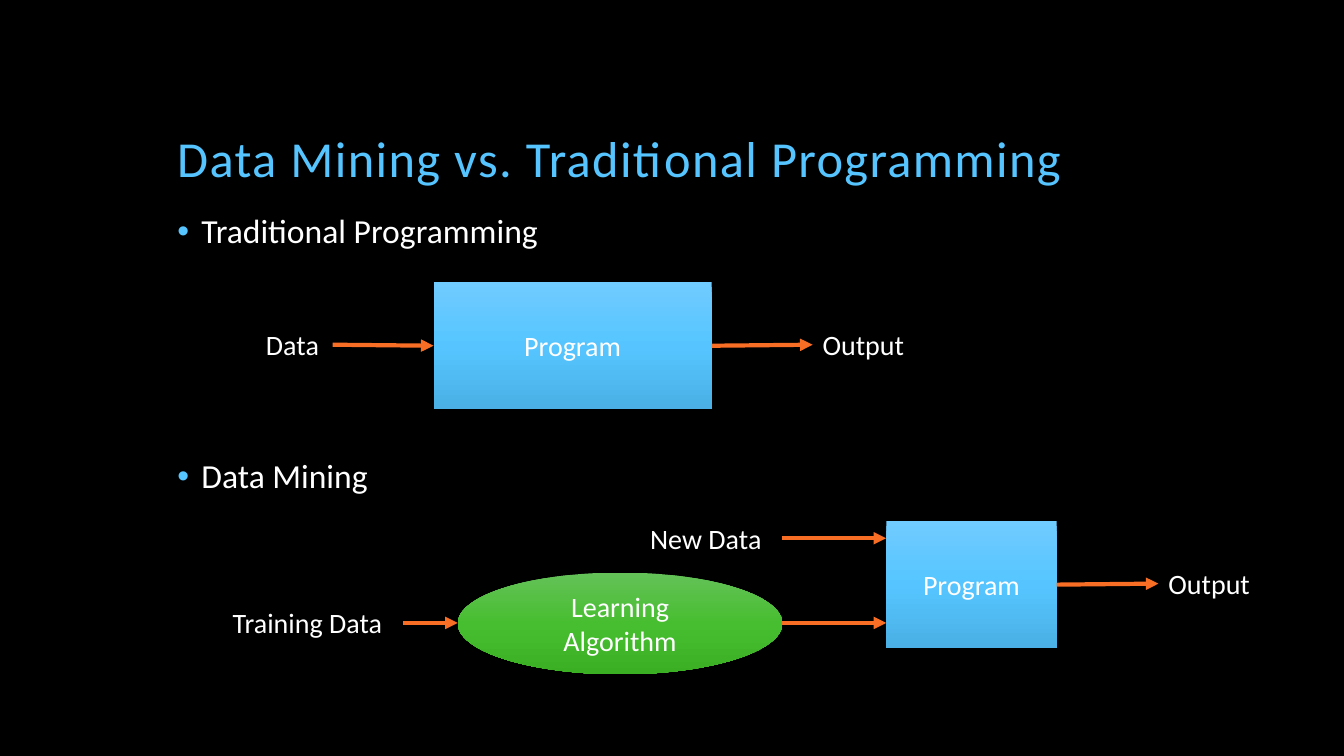
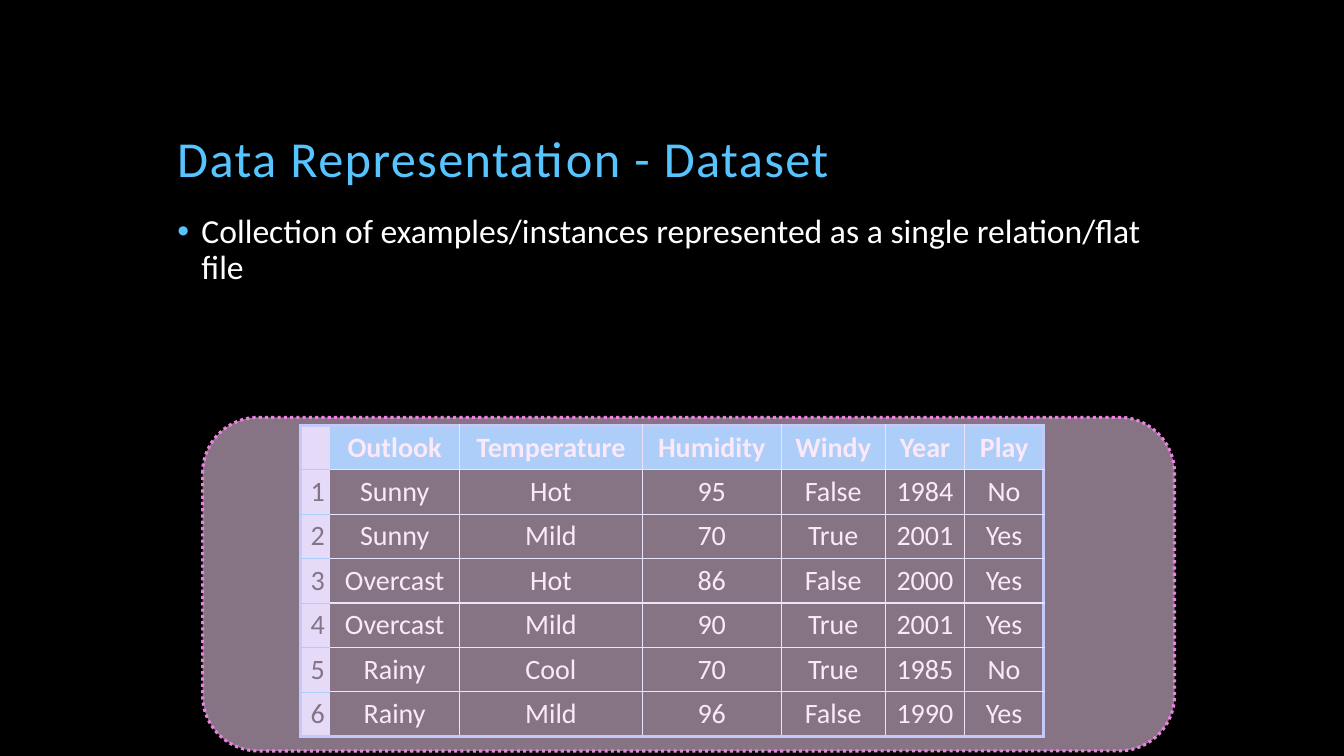
from lxml import etree
from pptx import Presentation
from pptx.dml.color import RGBColor
from pptx.enum.dml import MSO_LINE
from pptx.enum.shapes import MSO_CONNECTOR, MSO_SHAPE
from pptx.enum.text import MSO_ANCHOR, PP_ALIGN
from pptx.oxml.ns import qn
from pptx.util import Inches, Pt

RECTANGLE, ELLIPSE, ROUNDED = MSO_SHAPE.RECTANGLE, MSO_SHAPE.OVAL, MSO_SHAPE.ROUNDED_RECTANGLE
STRAIGHT = MSO_CONNECTOR.STRAIGHT
DOTTED = MSO_LINE.ROUND_DOT
CENTER = PP_ALIGN.CENTER
TOP, MIDDLE, BOTTOM = MSO_ANCHOR.TOP, MSO_ANCHOR.MIDDLE, MSO_ANCHOR.BOTTOM
LEFT_SIDE, RIGHT_SIDE = 1, 3

FONT = "Calibri"
BLACK, WHITE = "000000", "FFFFFF"
ACCENT, ARROW = "56C5FF", "F86E24"
ROW_HEADER, FRAME, GRID = "D0E3FF", "89BAFF", "DDF3FF"
PANEL_FILL, PANEL_LINE = "F8D6F4", "E983DD"
BLUE_GRADIENT = ((0, "70CBFF"), (50, ACCENT), (100, "4AB0E5"))
GREEN_GRADIENT = ((0, "64C258"), (50, "47BE30"), (100, "3BAF24"))

TITLE_BOX = (1.66, 0.42, 10, 1.5)
BODY_BOX = (1.66, 2.08, 9.99, 4.5)
BULLET_INDENT = 0.24

WEATHER_COLUMNS = (0.29, 1.29, 1.81, 1.38, 1.03, 0.79, 0.78)
WEATHER_ROWS = (
    ("", "Outlook", "Temperature", "Humidity", "Windy", "Year", "Play"),
    ("1", "Sunny", "Hot", "95", "False", "1984", "No"),
    ("2", "Sunny", "Mild", "70", "True", "2001", "Yes"),
    ("3", "Overcast", "Hot", "86", "False", "2000", "Yes"),
    ("4", "Overcast", "Mild", "90", "True", "2001", "Yes"),
    ("5", "Rainy", "Cool", "70", "True", "1985", "No"),
    ("6", "Rainy", "Mild", "96", "False", "1990", "Yes"),
)


def color(hex_value):
    """Turn a hex string into a colour."""
    return RGBColor.from_string(hex_value)


def inches(box):
    """Turn a sequence of numbers into lengths."""
    return [Inches(value) for value in box]


def style_font(paragraph, size, hex_value=WHITE, bold=False):
    """Set the font of a paragraph."""
    font = paragraph.font
    font.name, font.size, font.bold = FONT, Pt(size), bold
    font.color.rgb = color(hex_value)


def add_text(slide, box, text, size, hex_value=WHITE, anchor=TOP):
    """Add a text box holding one paragraph."""
    shape = slide.shapes.add_textbox(*inches(box))
    frame = shape.text_frame
    frame.word_wrap = True
    frame.vertical_anchor = anchor
    paragraph = frame.paragraphs[0]
    paragraph.text = text
    style_font(paragraph, size, hex_value)
    return shape


def add_title(slide, text):
    """Add the slide title, set on the bottom of its box."""
    shape = add_text(slide, TITLE_BOX, text, 36, ACCENT, BOTTOM)
    paragraph = shape.text_frame.paragraphs[0]
    paragraph.line_spacing = 0.9
    paragraph.runs[0].font._element.set("spc", "100")


def add_body(slide, bullets, gap=18):
    """Add the bulleted body text with a gap in points between bullets."""
    frame = slide.shapes.add_textbox(*inches(BODY_BOX)).text_frame
    frame.word_wrap = True
    for index, text in enumerate(bullets):
        paragraph = frame.add_paragraph() if index else frame.paragraphs[0]
        paragraph.text = text
        paragraph.line_spacing = 0.9
        if index:
            paragraph.space_before = Pt(gap)
        properties = paragraph._p.get_or_add_pPr()
        properties.set("marL", str(Inches(BULLET_INDENT)))
        properties.set("indent", str(-Inches(BULLET_INDENT)))
        bullet_color = etree.SubElement(properties, qn("a:buClr"))
        etree.SubElement(bullet_color, qn("a:srgbClr"), val=ACCENT)
        etree.SubElement(properties, qn("a:buFont"), typeface="Arial")
        etree.SubElement(properties, qn("a:buChar"), char="•")
        style_font(paragraph, 24)


def add_node(slide, kind, box, text, gradient):
    """Add a labelled shape with a top-to-bottom gradient."""
    shape = slide.shapes.add_shape(kind, *inches(box))
    shape.shadow.inherit = False
    shape.line.fill.background()
    shape.fill.gradient()
    shape.fill.gradient_angle = 270
    stops = shape._element.spPr.find(".//" + qn("a:gsLst"))
    for stop in list(stops):
        stops.remove(stop)
    for position, hex_value in gradient:
        stop = etree.SubElement(stops, qn("a:gs"), pos=str(position * 1000))
        etree.SubElement(stop, qn("a:srgbClr"), val=hex_value)
    frame = shape.text_frame
    frame.word_wrap = True
    frame.vertical_anchor = MIDDLE
    paragraph = frame.paragraphs[0]
    paragraph.text = text
    paragraph.alignment = CENTER
    style_font(paragraph, 20)
    return shape


def add_arrow(slide, start, end, source=None, target=None):
    """Add a rightward arrow, joined to a source and a target if given."""
    connector = slide.shapes.add_connector(STRAIGHT, *inches((*start, *end)))
    if source is not None:
        connector.begin_connect(source, RIGHT_SIDE)
    if target is not None:
        connector.end_connect(target, LEFT_SIDE)
    connector.line.color.rgb = color(ARROW)
    connector.line.width = Pt(3)
    etree.SubElement(connector.line._get_or_add_ln(), qn("a:tailEnd"), type="triangle")
    etree.SubElement(connector._element.spPr, qn("a:effectLst"))


def add_program(slide, box, arrow_length):
    """Add a program box with an arrow to its output label."""
    left, top, width, height = box
    program = add_node(slide, RECTANGLE, box, "Program", BLUE_GRADIENT)
    right, middle = left + width, top + height / 2
    label_left = right + arrow_length
    output = add_text(slide, (label_left, middle - 0.23, 1.04, 0.44), "Output", 20)
    add_arrow(slide, (right, middle), (label_left, middle), program, output)
    return program


def add_traditional_flow(slide, left, top):
    """Draw data passing through a program to an output."""
    program = add_program(slide, (left + 1.76, top, 2.76, 1.26), 1)
    data = add_text(slide, (left, top + 0.4, 0.76, 0.44), "Data", 20)
    add_arrow(slide, (left + 0.76, top + 0.62), (left + 1.76, top + 0.63), data, program)


def add_mining_flow(slide, left, top):
    """Draw training data passing through an algorithm into a program."""
    program_left, ellipse_left, ellipse_right = left + 6.58, left + 2.33, left + 5.55
    training_y, new_y = top + 1.06, top + 0.22
    add_program(slide, (program_left, top + 0.05, 1.69, 1.26), 1.01)
    new_data = add_text(slide, (left + 4.14, top, 1.41, 0.44), "New Data", 20)
    add_arrow(slide, (ellipse_right, new_y), (program_left, new_y), new_data)
    add_node(slide, ELLIPSE, (ellipse_left, top + 0.56, 3.22, 1.01),
             "Learning Algorithm", GREEN_GRADIENT)
    add_arrow(slide, (ellipse_right, training_y), (program_left, training_y))
    training = add_text(slide, (left, top + 0.84, 1.79, 0.44), "Training Data", 20)
    add_arrow(slide, (left + 1.79, training_y), (ellipse_left, training_y), training)


def set_borders(cell, borders):
    """Set cell borders from (side, colour, points), no colour meaning no line."""
    properties = cell._tc.get_or_add_tcPr()
    for side, hex_value, width in borders:
        line = etree.SubElement(properties, qn("a:ln" + side), w=str(Pt(width)))
        if hex_value:
            fill = etree.SubElement(line, qn("a:solidFill"))
            etree.SubElement(fill, qn("a:srgbClr"), val=hex_value)
        else:
            etree.SubElement(line, qn("a:noFill"))


def style_cell(cell, row, column, last_row, last_column):
    """Set borders, fill and font of a cell by its place in the table."""
    frame, grid, none = (FRAME, 2.25), (GRID, 1), (None, 0)
    rule = (ACCENT, 0.5) if column == 0 else grid
    set_borders(cell, (
        ("L", *(frame if column == 0 else none if column == 1 else grid)),
        ("R", *(frame if column == last_column else none if column == 0 else grid)),
        ("T", *(frame if row == 0 else rule)),
        ("B", *(frame if row == last_row else rule)),
    ))
    if row and column:
        cell.fill.background()
    else:
        cell.fill.solid()
        cell.fill.fore_color.rgb = color(ACCENT if column else ROW_HEADER)
    paragraph = cell.text_frame.paragraphs[0]
    paragraph.alignment = CENTER
    style_font(paragraph, 20, WHITE if column else BLACK, bold=row == 0)


def add_data_table(slide, left, top, column_widths, rows, row_height=0.44):
    """Add a table with a header row and a numbered first column."""
    box = (left, top, sum(column_widths), row_height * len(rows))
    table = slide.shapes.add_table(len(rows), len(column_widths), *inches(box)).table
    table.first_row = table.horz_banding = False
    for column, width in zip(table.columns, column_widths):
        column.width = Inches(width)
    for row_index, values in enumerate(rows):
        table.rows[row_index].height = Inches(row_height)
        for column_index, value in enumerate(values):
            cell = table.cell(row_index, column_index)
            cell.text = value
            style_cell(cell, row_index, column_index, len(rows) - 1, len(values) - 1)


def add_veil(slide, box):
    """Add a translucent rounded panel with a dotted outline."""
    panel = slide.shapes.add_shape(ROUNDED, *inches(box))
    panel.shadow.inherit = False
    panel.fill.solid()
    panel.fill.fore_color.rgb = color(PANEL_FILL)
    fill_color = panel._element.spPr.find(qn("a:solidFill")).find(qn("a:srgbClr"))
    etree.SubElement(fill_color, qn("a:alpha"), val="54000")
    panel.line.color.rgb = color(PANEL_LINE)
    panel.line.width = Pt(2.25)
    panel.line.dash_style = DOTTED


def new_slide(presentation):
    """Add a blank slide with a black background."""
    slide = presentation.slides.add_slide(presentation.slide_layouts[6])
    slide.background.fill.solid()
    slide.background.fill.fore_color.rgb = color(BLACK)
    return slide


def build_comparison_slide(presentation):
    """Build the slide comparing the two ways of working."""
    slide = new_slide(presentation)
    add_title(slide, "Data Mining vs. Traditional Programming")
    add_body(slide, ("Traditional Programming", "Data Mining"), gap=149)
    add_traditional_flow(slide, 2.54, 2.8)
    add_mining_flow(slide, 2.21, 5.12)


def build_dataset_slide(presentation):
    """Build the slide showing a dataset as a table."""
    slide = new_slide(presentation)
    add_data_table(slide, 2.98, 4.22, WEATHER_COLUMNS, WEATHER_ROWS)
    add_veil(slide, (2.01, 4.14, 9.64, 3.31))
    add_title(slide, "Data Representation - Dataset")
    add_body(slide, ("Collection of examples/instances represented as a single relation/flat file",))


def main():
    """Build and save the presentation."""
    presentation = Presentation()
    presentation.slide_width, presentation.slide_height = inches((13.33, 7.5))
    build_comparison_slide(presentation)
    build_dataset_slide(presentation)
    presentation.save("out.pptx")


if __name__ == "__main__":
    main()
